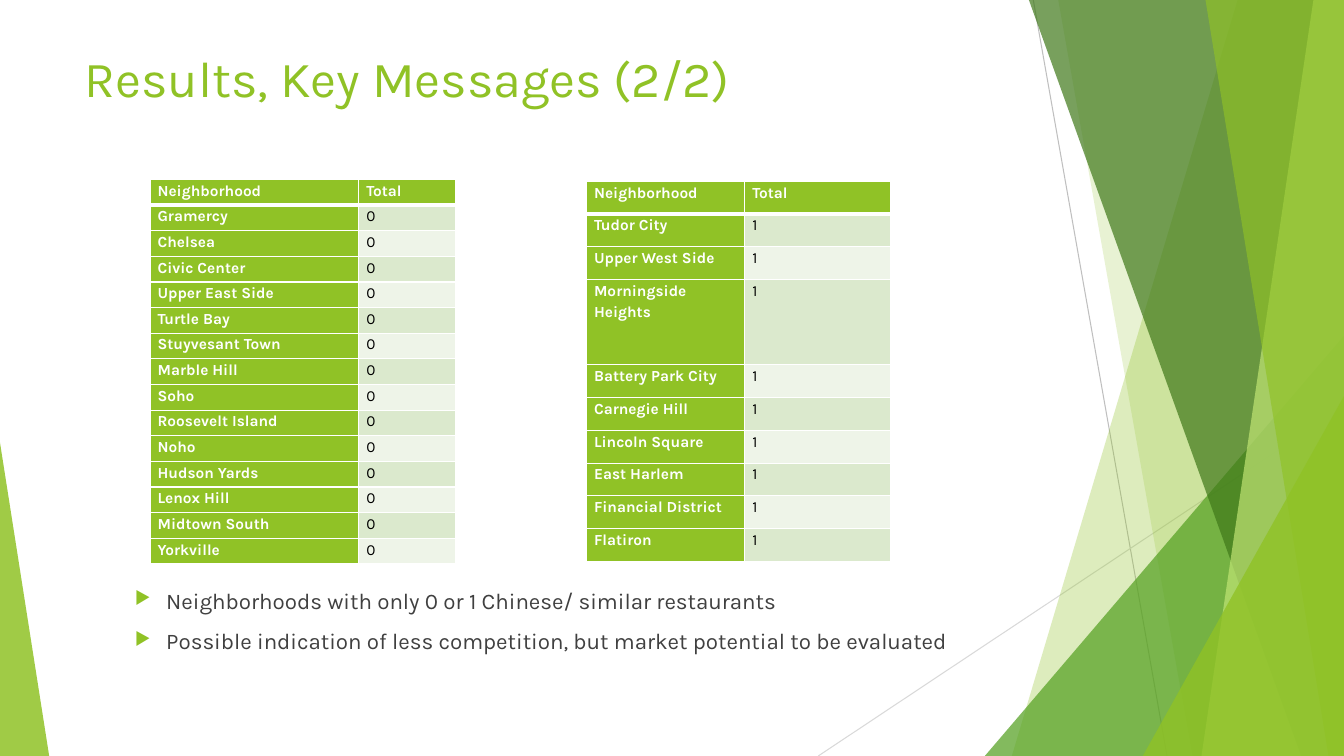
from dataclasses import dataclass

from lxml.etree import SubElement
from pptx import Presentation
from pptx.dml.color import RGBColor
from pptx.enum.shapes import MSO_CONNECTOR as Connector, MSO_SHAPE as Shape
from pptx.enum.text import MSO_ANCHOR as Anchor, MSO_AUTO_SIZE as AutoSize, PP_ALIGN as Align
from pptx.oxml import parse_xml
from pptx.oxml.ns import nsdecls, qn
from pptx.util import Cm, Pt


@dataclass(frozen=True)
class Theme:
    font: str = "Karla"
    green: str = "90C226"
    leaf: str = "54A021"
    forest: str = "3F7819"
    lime: str = "C0E474"
    white: str = "FFFFFF"
    black: str = "000000"
    body: str = "404040"
    bands: tuple = ("DBE9CD", "EEF4E8")
    title_size: int = 36
    body_size: int = 16
    table_size: int = 11


theme = Theme()


def set_text(paragraph, text, size, color, bold=False, **paragraph_format):
    run = paragraph.add_run()
    run.text = text
    font_format = {"name": theme.font, "size": Pt(size), "bold": bold}
    for target, values in ((run.font, font_format), (paragraph, paragraph_format)):
        for name, value in values.items():
            setattr(target, name, value)
    run.font.color.rgb = RGBColor.from_string(color)


def paint(shape, color, opacity):
    shape.shadow.inherit = False
    shape.fill.solid()
    shape.fill.fore_color.rgb = RGBColor.from_string(color)
    shape.line.fill.background()
    color_element = shape.fill._xPr.find(qn("a:solidFill"))[0]
    SubElement(color_element, qn("a:alpha"), val=str(opacity * 1000))


presentation = Presentation()
presentation.slide_width, presentation.slide_height = right, bottom = Cm(33.87), Cm(19.05)
slide = presentation.slides.add_slide(presentation.slide_layouts[5])
shapes = slide.shapes

# Thin background lines
for start_x, start_y, end_x, end_y, color in (
    (26.04, 0, 29.41, 19.05, "BFBFBF"),
    (33.87, 10.24, 20.62, 19.05, "D9D9D9"),
):
    line = shapes.add_connector(Connector.STRAIGHT, Cm(start_x), Cm(start_y), Cm(end_x), Cm(end_y))
    line.line.width = Pt(0.75)
    line.line.color.rgb = RGBColor.from_string(color)
    SubElement(line._element.spPr, qn("a:effectLst"))

# Facets: a pair is the top and bottom x of a band reaching the right edge,
# five numbers are the box of a triangle and the position of its tip
for geometry, color, opacity in (
    ((31.19, 25.5), theme.green, 30),
    ((26.67, 30.05), theme.green, 20),
    ((24.82, 8.46, 9.05, 10.59, 1), theme.leaf, 72),
    ((25.93, 32.79), theme.forest, 70),
    ((33.1, 30.28), theme.lime, 70),
    ((30.38, 33.48), theme.green, 65),
    ((28.8, 9.98, 5.07, 9.07, 1), theme.green, 80),
    ((0, 11.15, 1.24, 7.9, 0), theme.green, 85),
):
    if len(geometry) == 2:
        top_x, bottom_x = map(Cm, geometry)
        builder = shapes.build_freeform(top_x, 0)
        builder.add_line_segments([(right, 0), (right, bottom), (bottom_x, bottom)])
        facet = builder.convert_to_shape()
    else:
        *box, tip = geometry
        facet = shapes.add_shape(Shape.ISOSCELES_TRIANGLE, *map(Cm, box))
        facet.adjustments[0] = tip
    paint(facet, color, opacity)

# Title
title = shapes.title
title_box = {"left": Cm(1.88), "top": Cm(1.07), "width": Cm(23.88), "height": Cm(3.66)}
for name, value in title_box.items():
    setattr(title, name, value)
title_frame = title.text_frame
title_frame.vertical_anchor = Anchor.TOP
title_frame.auto_size = AutoSize.NONE
set_text(title_frame.paragraphs[0], "Results, Key Messages (2/2)", theme.title_size, theme.green,
         alignment=Align.LEFT)

# Key messages
messages = (
    "Neighborhoods with only 0 or 1 Chinese/ similar restaurants",
    "Possible indication of less competition, but market potential to be evaluated",
)
message_box = shapes.add_textbox(Cm(1.88), Cm(14.66), Cm(23.88), Cm(2.13))
message_frame = message_box.text_frame
message_frame.word_wrap = True
for index, message in enumerate(messages):
    paragraph = message_frame.add_paragraph() if index else message_frame.paragraphs[0]
    properties = paragraph._p.get_or_add_pPr()
    properties.set("marL", str(Cm(2.06)))
    properties.set("indent", str(Cm(-0.79)))
    bullet_color = SubElement(properties, qn("a:buClr"))
    SubElement(bullet_color, qn("a:srgbClr"), val=theme.green)
    SubElement(properties, qn("a:buSzPct"), val="80000")
    SubElement(properties, qn("a:buChar"), char="▶")
    set_text(paragraph, message, theme.body_size, theme.body, space_before=Pt(10))

# Neighborhood tables
no_restaurants = (
    "Gramercy", "Chelsea", "Civic Center", "Upper East Side", "Turtle Bay",
    "Stuyvesant Town", "Marble Hill", "Soho", "Roosevelt Island", "Noho",
    "Hudson Yards", "Lenox Hill", "Midtown South", "Yorkville",
)
one_restaurant = (
    "Tudor City", "Upper West Side", "Morningside Heights", "Battery Park City",
    "Carnegie Hill", "Lincoln Square", "East Harlem", "Financial District", "Flatiron",
)
cell_format = {"margin_left": Cm(0.19), "margin_right": Cm(0.19), "margin_top": 0, "margin_bottom": 0}
for neighborhoods, total, left, top, widths, height in (
    (no_restaurants, "0", 3.78, 4.52, (5.26, 2.44), 9.7),
    (one_restaurant, "1", 14.78, 4.57, (3.99, 3.68), 8.25),
):
    rows = [("Neighborhood", "Total")] + [(name, total) for name in neighborhoods]
    table = shapes.add_table(len(rows), 2, Cm(left), Cm(top), Cm(sum(widths)), Cm(height)).table
    for column, width in zip(table.columns, widths):
        column.width = Cm(width)
    for row_index, row in enumerate(rows):
        if row[0] == "Morningside Heights":
            table.rows[row_index].height = Cm(2.15)
        for column_index, text in enumerate(row):
            cell = table.cell(row_index, column_index)
            for name, value in cell_format.items():
                setattr(cell, name, value)
            # White borders, thicker under the header
            for side in "LRTB":
                thick = (row_index, side) in ((0, "B"), (1, "T"))
                cell._tc.get_or_add_tcPr().append(parse_xml(
                    f'<a:ln{side} {nsdecls("a")} w="{Pt(3 if thick else 1)}"><a:solidFill>'
                    f'<a:srgbClr val="{theme.white}"/></a:solidFill></a:ln{side}>'))
            accent = row_index == 0 or column_index == 0
            fill_color = theme.green if accent else theme.bands[(row_index - 1) % 2]
            cell.fill.solid()
            cell.fill.fore_color.rgb = RGBColor.from_string(fill_color)
            set_text(cell.text_frame.paragraphs[0], text, theme.table_size,
                     theme.white if accent else theme.black, bold=accent,
                     alignment=Align.JUSTIFY, line_spacing=1.15)

presentation.save("out.pptx")
